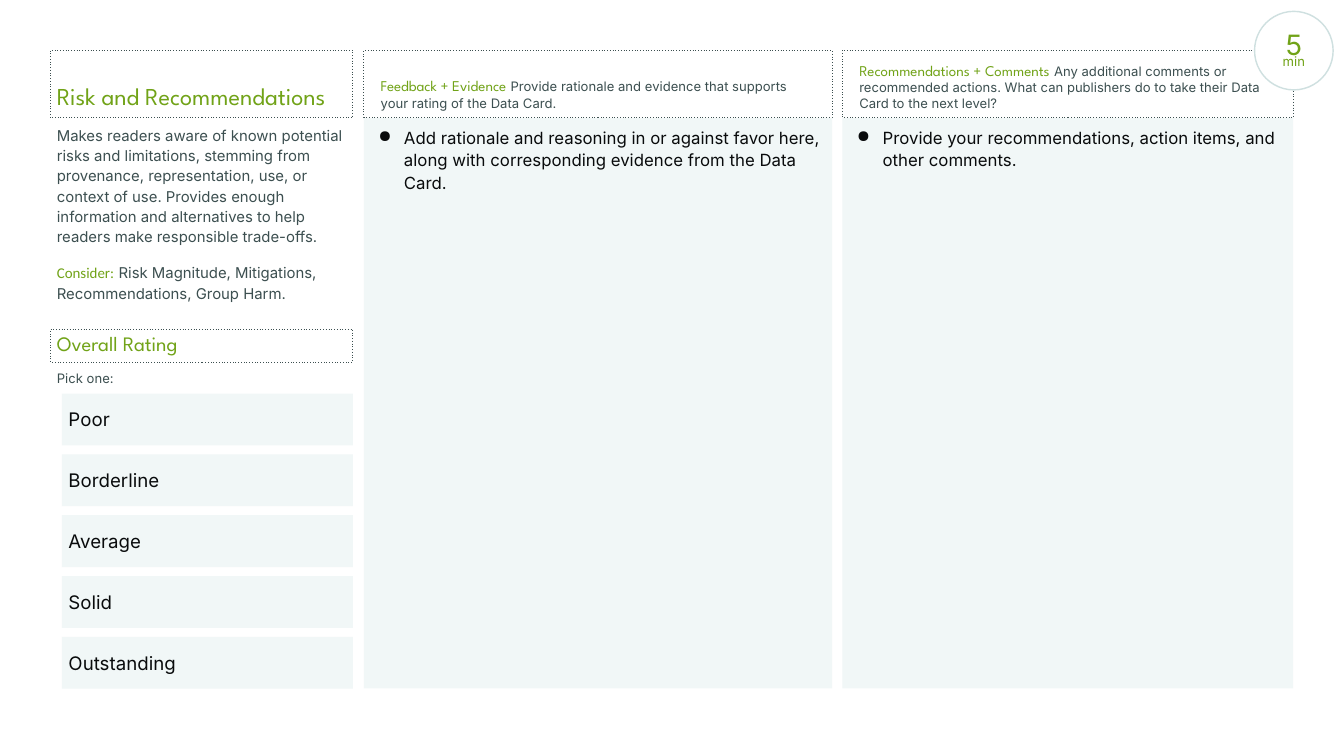
from dataclasses import dataclass
from typing import Optional

from lxml import etree
from pptx import Presentation
from pptx.dml.color import RGBColor
from pptx.enum.dml import MSO_LINE
from pptx.enum.shapes import MSO_SHAPE
from pptx.enum.text import MSO_ANCHOR, PP_ALIGN
from pptx.oxml.ns import qn
from pptx.util import Cm, Pt

RECT, OVAL = MSO_SHAPE.RECTANGLE, MSO_SHAPE.OVAL
TOP, MIDDLE, BOTTOM = MSO_ANCHOR.TOP, MSO_ANCHOR.MIDDLE, MSO_ANCHOR.BOTTOM
LEFT, CENTER = PP_ALIGN.LEFT, PP_ALIGN.CENTER
DOTTED = MSO_LINE.ROUND_DOT

GREEN = RGBColor(0x71, 0xA3, 0x18)
SLATE = RGBColor(0x3C, 0x4F, 0x50)
INK = RGBColor(0x09, 0x0B, 0x0C)
MIST = RGBColor(0xF1, 0xF7, 0xF7)
RING = RGBColor(0xCF, 0xE0, 0xE0)
WHITE = RGBColor(0xFF, 0xFF, 0xFF)

BODY, DISPLAY, ACCENT = "Inter", "League Spartan", "Calibri"


@dataclass
class Words:
    text: str
    size: float
    color: RGBColor = SLATE
    font: str = BODY


@dataclass
class Para:
    words: list[Words]
    spacing: float = 1.0
    before: float = 0
    align: PP_ALIGN = LEFT
    bullet: bool = False


@dataclass
class Box:
    """A block of text; lengths in centimetres."""
    left: float
    top: float
    width: float
    height: float
    paras: list[Para]
    anchor: MSO_ANCHOR = TOP
    fill: Optional[RGBColor] = None
    line: Optional[RGBColor] = None
    line_width: float = 0.75
    dotted: bool = False
    outline: MSO_SHAPE = RECT
    side_inset: float = 0.25
    top_inset: float = 0.25


def add_bullet(paragraph) -> None:
    props = paragraph._p.get_or_add_pPr()
    props.set("marL", str(Cm(1.27)))
    props.set("indent", str(Cm(-0.97)))
    color = etree.SubElement(props, qn("a:buClr"))
    etree.SubElement(color, qn("a:srgbClr")).set("val", str(INK))
    etree.SubElement(props, qn("a:buChar")).set("char", "●")


def write_para(paragraph, para: Para) -> None:
    layout = {"alignment": para.align, "line_spacing": para.spacing,
              "space_before": Pt(para.before)}
    for key, value in layout.items():
        setattr(paragraph, key, value)
    if para.bullet:
        add_bullet(paragraph)
    for words in para.words:
        run = paragraph.add_run()
        run.text = words.text
        for key, value in {"size": Pt(words.size), "name": words.font}.items():
            setattr(run.font, key, value)
        run.font.color.rgb = words.color


def draw_box(slide, box: Box) -> None:
    shape = slide.shapes.add_shape(
        box.outline, Cm(box.left), Cm(box.top), Cm(box.width), Cm(box.height))
    shape.shadow.inherit = False
    for part, color in ((shape.fill, box.fill), (shape.line.fill, box.line)):
        if color is None:
            part.background()
        else:
            part.solid()
            part.fore_color.rgb = color
    if box.line is not None:
        shape.line.width = Pt(box.line_width)
    if box.dotted:
        shape.line.dash_style = DOTTED
        shape.line._ln.find(qn("a:prstDash")).set("val", "dot")

    frame = shape.text_frame
    layout = {"word_wrap": True, "vertical_anchor": box.anchor,
              "margin_left": Cm(box.side_inset), "margin_right": Cm(box.side_inset),
              "margin_top": Cm(box.top_inset), "margin_bottom": Cm(0.25)}
    for key, value in layout.items():
        setattr(frame, key, value)
    for index, para in enumerate(box.paras):
        write_para(frame.add_paragraph() if index else frame.paragraphs[0], para)


# Shared grid
SIDE_LEFT, SIDE_WIDTH = 1.9, 11.43
HEAD_TOP, HEAD_HEIGHT = 1.9, 2.54
PANEL_TOP, PANEL_HEIGHT = 4.47, 21.56
RATING_LEFT, RATING_TOP, RATING_STEP = 2.34, 14.88, 2.3
RATINGS = ["Poor", "Borderline", "Average", "Solid", "Outstanding"]


def heading(top: float, height: float, text: str, size: float) -> Box:
    return Box(SIDE_LEFT, top, SIDE_WIDTH, height,
               [Para([Words(text, size, GREEN, DISPLAY)])],
               BOTTOM, line=SLATE, dotted=True)


def answer_column(left: float, width: float, title: str, hint: str,
                  prompt: str) -> list[Box]:
    label = Para([Words(title, 16, GREEN, DISPLAY),
                  Words(" ", 18, GREEN, DISPLAY), Words(hint, 14)])
    return [
        Box(left, PANEL_TOP, width, PANEL_HEIGHT,
            [Para([Words(prompt, 18, INK)], 1.12, bullet=True)], fill=MIST),
        Box(left, HEAD_TOP, width, HEAD_HEIGHT, [label], BOTTOM,
            line=SLATE, dotted=True, side_inset=0.64),
    ]


def slide_boxes() -> list[Box]:
    # Topic and what to consider
    about = Para([Words(
        "Makes readers aware of known potential risks and limitations, stemming "
        "from provenance, representation, use, or context of use. Provides enough "
        "information and alternatives to help readers make responsible trade-offs.",
        16)], 1.12)
    consider = Para([
        Words("Consider:", 16, GREEN, ACCENT), Words(" ", 17),
        Words("Risk Magnitude, Mitigations, Recommendations, Group Harm.", 16)],
        1.15, 16)
    boxes = [
        Box(SIDE_LEFT, PANEL_TOP, SIDE_WIDTH, 7.37, [about, consider]),
        heading(HEAD_TOP, HEAD_HEIGHT, "Risk and Recommendations", 26),
        heading(12.45, 1.24, "Overall Rating", 22),
        Box(SIDE_LEFT, 13.67, SIDE_WIDTH, 1.12,
            [Para([Words("Pick one:", 14)], 1.15)]),
    ]
    # Rating choices
    boxes += [
        Box(RATING_LEFT, RATING_TOP + row * RATING_STEP, 11, 1.96,
            [Para([Words(rating, 20, INK)])], MIDDLE, fill=MIST)
        for row, rating in enumerate(RATINGS)]
    # Answer columns
    boxes += answer_column(
        13.75, 17.7, "Feedback + Evidence",
        "Provide rationale and evidence that supports your rating of the Data Card.",
        "Add rationale and reasoning in or against favor here, along with "
        "corresponding evidence from the Data Card.")
    boxes += answer_column(
        31.84, 17.04, "Recommendations + Comments",
        "Any additional comments or recommended actions. What can publishers do "
        "to take their Data Card to the next level?",
        "Provide your recommendations, action items, and other comments.")
    # Time badge
    boxes.append(Box(
        47.42, 0.43, 2.97, 2.97,
        [Para([Words(text, size, GREEN)], 0.6, align=CENTER)
         for text, size in (("5", 30), ("min", 14))],
        MIDDLE, fill=WHITE, line=RING, line_width=1.5, outline=OVAL,
        top_inset=0.5))
    return boxes


def main() -> None:
    deck = Presentation()
    deck.slide_width, deck.slide_height = Cm(50.8), Cm(27.94)
    slide = deck.slides.add_slide(deck.slide_layouts[6])
    for box in slide_boxes():
        draw_box(slide, box)
    deck.save("out.pptx")


if __name__ == "__main__":
    main()
